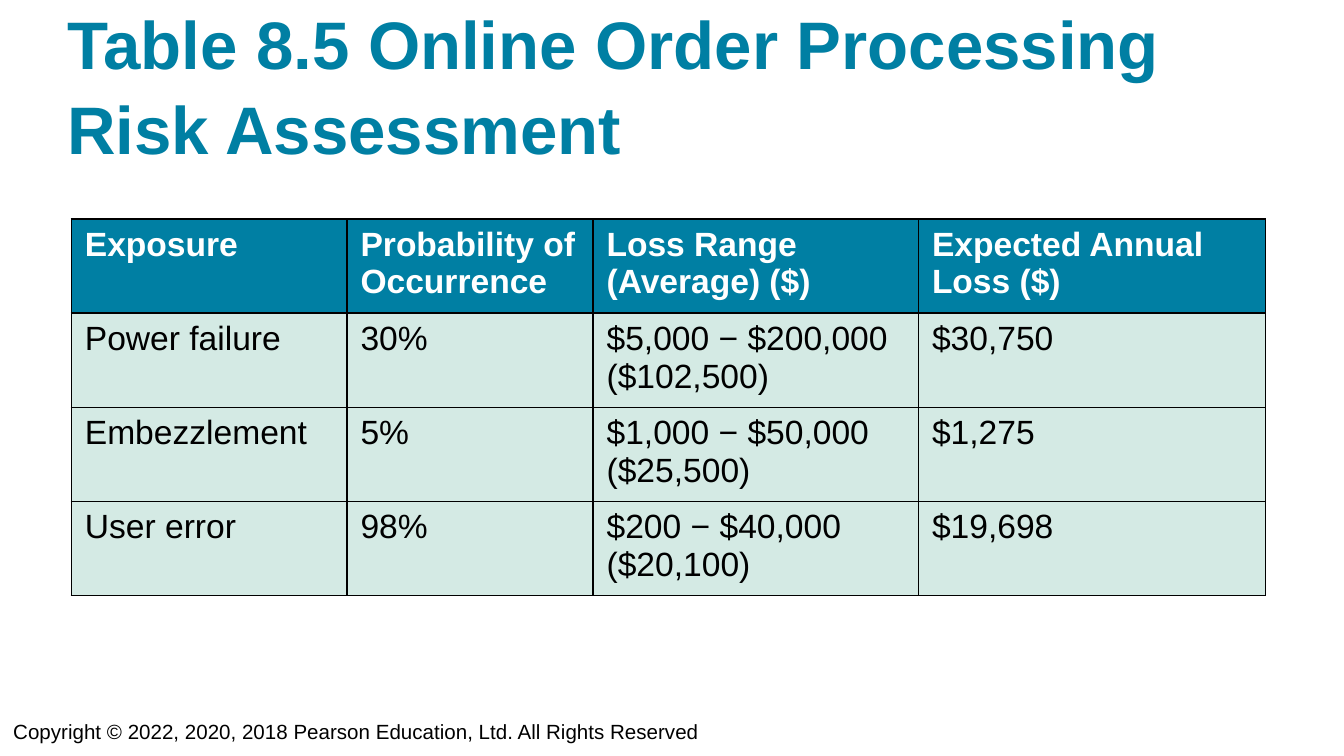
from lxml import etree
from pptx import Presentation
from pptx.dml.color import RGBColor
from pptx.enum.text import MSO_ANCHOR as Anchor, PP_ALIGN as Align
from pptx.oxml.ns import qn
from pptx.util import Cm, Pt

TEAL, MINT, BLACK, WHITE = "007FA3", "D4EAE4", "000000", "FFFFFF"
COL_WIDTHS = [5.21, 4.65, 6.15, 6.56]
ROW_HEIGHT = 1.78
ROWS = [
    ["Exposure", "Probability of Occurrence", "Loss Range (Average) ($)",
     "Expected Annual Loss ($)"],
    ["Power failure", "30%", "$5,000 − $200,000 ($102,500)", "$30,750"],
    ["Embezzlement", "5%", "$1,000 − $50,000 ($25,500)", "$1,275"],
    ["User error", "98%", "$200 − $40,000 ($20,100)", "$19,698"],
]


def rgb(value):
    return RGBColor.from_string(value)


def write(tf, text, size=18, color=BLACK, bold=False, spacing=1.0):
    p = tf.paragraphs[0]
    p.alignment = Align.LEFT
    p.line_spacing = spacing
    r = p.add_run()
    r.text = text
    r.font.name = "Arial"
    r.font.size = Pt(size)
    r.font.bold = bold
    r.font.color.rgb = rgb(color)


def set_frame(tf):
    """Wrapped, bottom-anchored text without margins."""
    tf.word_wrap = True
    tf.vertical_anchor = Anchor.BOTTOM
    tf.margin_left = tf.margin_right = tf.margin_top = tf.margin_bottom = 0


def add_borders(cell, color=BLACK, width=1):
    """Draw all four sides; the lines must precede the cell fill."""
    tc_pr = cell._tc.get_or_add_tcPr()
    for i, side in enumerate(("a:lnL", "a:lnR", "a:lnT", "a:lnB")):
        ln = etree.Element(qn(side), w=str(Pt(width)))
        fill = etree.SubElement(ln, qn("a:solidFill"))
        etree.SubElement(fill, qn("a:srgbClr"), val=color)
        tc_pr.insert(i, ln)


def add_title(slide, text):
    sp = slide.shapes.title
    sp.left, sp.top, sp.width, sp.height = Cm(1.27), Cm(0.1), Cm(22.86), Cm(3.07)
    set_frame(sp.text_frame)
    write(sp.text_frame, text, size=36, color=TEAL, bold=True, spacing=1.05)


def add_risk_table(slide):
    frame = slide.shapes.add_table(
        len(ROWS), len(COL_WIDTHS), Cm(1.35), Cm(4.14),
        Cm(sum(COL_WIDTHS)), Cm(ROW_HEIGHT * len(ROWS)))
    table = frame.table
    for column, width in zip(table.columns, COL_WIDTHS):
        column.width = Cm(width)
    for i, values in enumerate(ROWS):
        header = i == 0
        table.rows[i].height = Cm(ROW_HEIGHT)
        for j, value in enumerate(values):
            cell = table.cell(i, j)
            cell.fill.solid()
            cell.fill.fore_color.rgb = rgb(TEAL if header else MINT)
            add_borders(cell)
            write(cell.text_frame, value, bold=header,
                  color=WHITE if header else BLACK)


def add_footer(slide, text):
    sp = slide.shapes.add_textbox(Cm(0.25), Cm(13.36), Cm(23.88), Cm(0.69))
    set_frame(sp.text_frame)
    write(sp.text_frame, text, size=11)


def main():
    prs = Presentation()
    prs.slide_width, prs.slide_height = Cm(25.4), Cm(14.29)
    slide = prs.slides.add_slide(prs.slide_layouts[5])

    # Heading, risk figures, copyright line
    add_title(slide, "Table 8.5 Online Order Processing Risk Assessment")
    add_risk_table(slide)
    add_footer(slide, "Copyright © 2022, 2020, 2018 Pearson Education, Ltd. "
                      "All Rights Reserved")
    prs.save("out.pptx")


if __name__ == "__main__":
    main()
